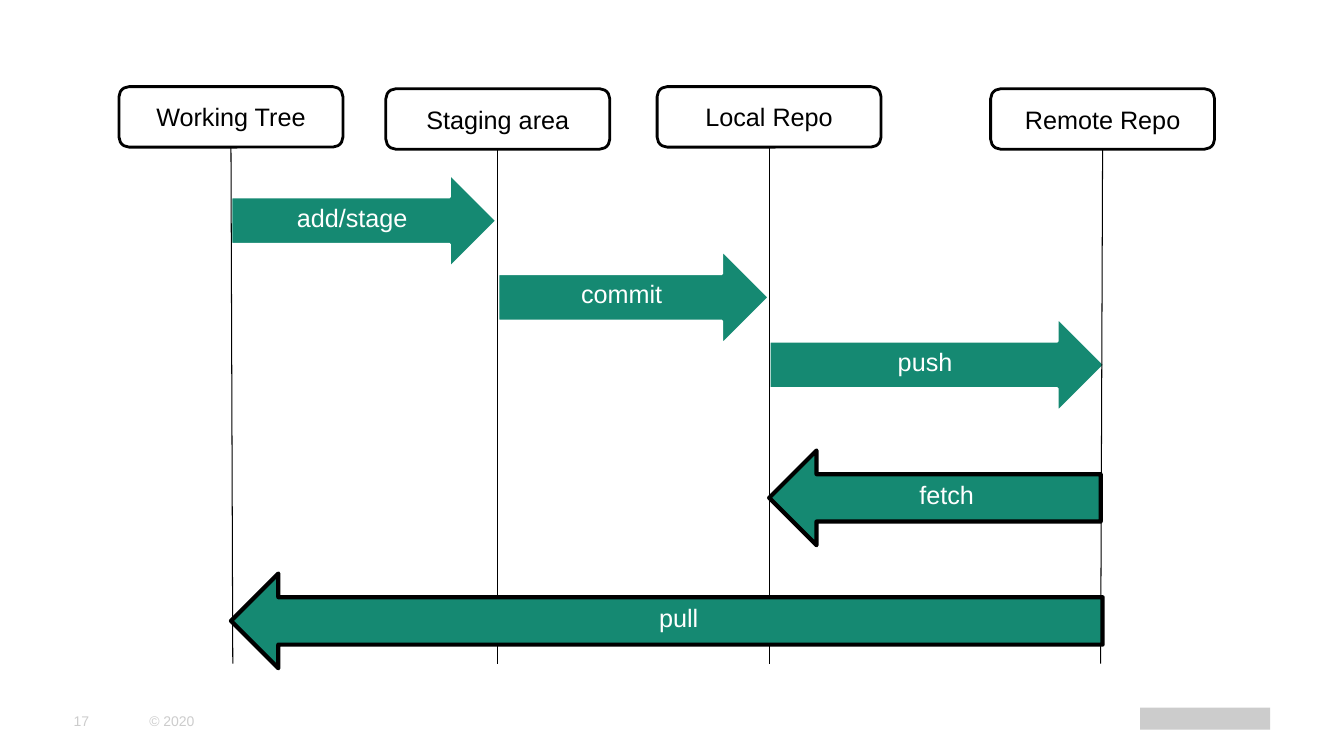
from lxml.etree import SubElement
from pptx import Presentation
from pptx.dml.color import RGBColor
from pptx.enum.shapes import MSO_CONNECTOR, MSO_SHAPE
from pptx.enum.text import MSO_ANCHOR, PP_ALIGN
from pptx.oxml.ns import qn
from pptx.util import Pt

BLACK, WHITE, GREEN, GRAY = "000000", "FFFFFF", "158972", "CCCCCC"
BOX_WIDTH, BOX_HEIGHT, ARROW_HEIGHT, LINE_END = 160, 43.2, 67.7, 474


def color(value):
    return RGBColor.from_string(value)


class SequenceSlide:
    """Draws the elements of a sequence diagram in one style on one slide."""

    font_name = "Arial"

    def __init__(self, deck):
        self.shapes = deck.slides.add_slide(deck.slide_layouts[6]).shapes

    def label(self, shape, text, size, text_color, align, anchor):
        frame = shape.text_frame
        frame.text = text
        frame.word_wrap = True
        frame.vertical_anchor = anchor
        para = frame.paragraphs[0]
        para.alignment = align
        span = para.runs[0]
        span.font.name = self.font_name
        span.font.size = Pt(size)
        span.font.color.rgb = color(text_color)

    def block(self, kind, left, top, width, height, fill, line=None, line_width=2):
        shape = self.shapes.add_shape(kind, Pt(left), Pt(top), Pt(width), Pt(height))
        shape.shadow.inherit = False
        shape.fill.solid()
        shape.fill.fore_color.rgb = color(fill)
        if line:
            shape.line.color.rgb = color(line)
            shape.line.width = Pt(line_width)
        else:
            shape.line.fill.background()
        return shape

    def participant(self, name, center, top):
        box = self.block(MSO_SHAPE.ROUNDED_RECTANGLE, center - BOX_WIDTH / 2, top,
                         BOX_WIDTH, BOX_HEIGHT, WHITE, BLACK)
        self.label(box, name, 18, BLACK, PP_ALIGN.CENTER, MSO_ANCHOR.MIDDLE)
        return box

    def lifeline(self, box, end):
        line = self.shapes.add_connector(MSO_CONNECTOR.STRAIGHT, 0, 0, Pt(end), Pt(LINE_END))
        line.begin_connect(box, 2)
        line.line.color.rgb = color(BLACK)
        line.line.width = Pt(0.75)
        SubElement(line._element.spPr, qn("a:effectLst"))

    def arrow(self, command, start, end, top):
        if start < end:
            kind, line, line_width = MSO_SHAPE.RIGHT_ARROW, WHITE, 2
        else:
            kind, line, line_width = MSO_SHAPE.LEFT_ARROW, BLACK, 3
        arrow = self.block(kind, min(start, end), top, abs(end - start), ARROW_HEIGHT,
                           GREEN, line, line_width)
        self.label(arrow, command, 18, WHITE, PP_ALIGN.CENTER, MSO_ANCHOR.TOP)

    def footer(self, text, left, width):
        box = self.shapes.add_textbox(Pt(left), Pt(500.4), Pt(width), Pt(28.8))
        self.label(box, text, 10, GRAY, PP_ALIGN.LEFT, MSO_ANCHOR.MIDDLE)
        frame = box.text_frame
        frame.margin_left = frame.margin_right = frame.margin_top = frame.margin_bottom = 0


def main():
    deck = Presentation()
    deck.slide_width, deck.slide_height = Pt(960), Pt(540)
    slide = SequenceSlide(deck)

    slide.footer("© 2020", 106.6, 77.8)
    slide.block(MSO_SHAPE.RECTANGLE, 814.3, 505.4, 92.9, 15.8, GRAY)
    slide.footer("17", 52.6, 53.3)

    working, staging, local, remote = 165, 355.6, 549.4, 787.6
    for command, start, end, top in [
        ("commit", staging, local, 178.6),
        ("add/stage", working, staging - 0.7, 123.8),
        ("push", local, remote + 1.5, 226.8),
        ("fetch", remote - 1.4, local, 321.8),
    ]:
        slide.arrow(command, start, end, top)

    participants = [
        ("Working Tree", working, 61.9, working + 1.3),
        ("Staging area", staging, 63.4, staging),
        ("Local Repo", local, 61.9, local),
        ("Remote Repo", remote, 63.4, remote - 1.4),
    ]
    boxes = [slide.participant(name, center, top) for name, center, top, _ in participants]
    for box, (_, _, _, end) in zip(boxes, participants):
        slide.lifeline(box, end)

    slide.arrow("pull", remote, working, 409.7)
    deck.save("out.pptx")


if __name__ == "__main__":
    main()
